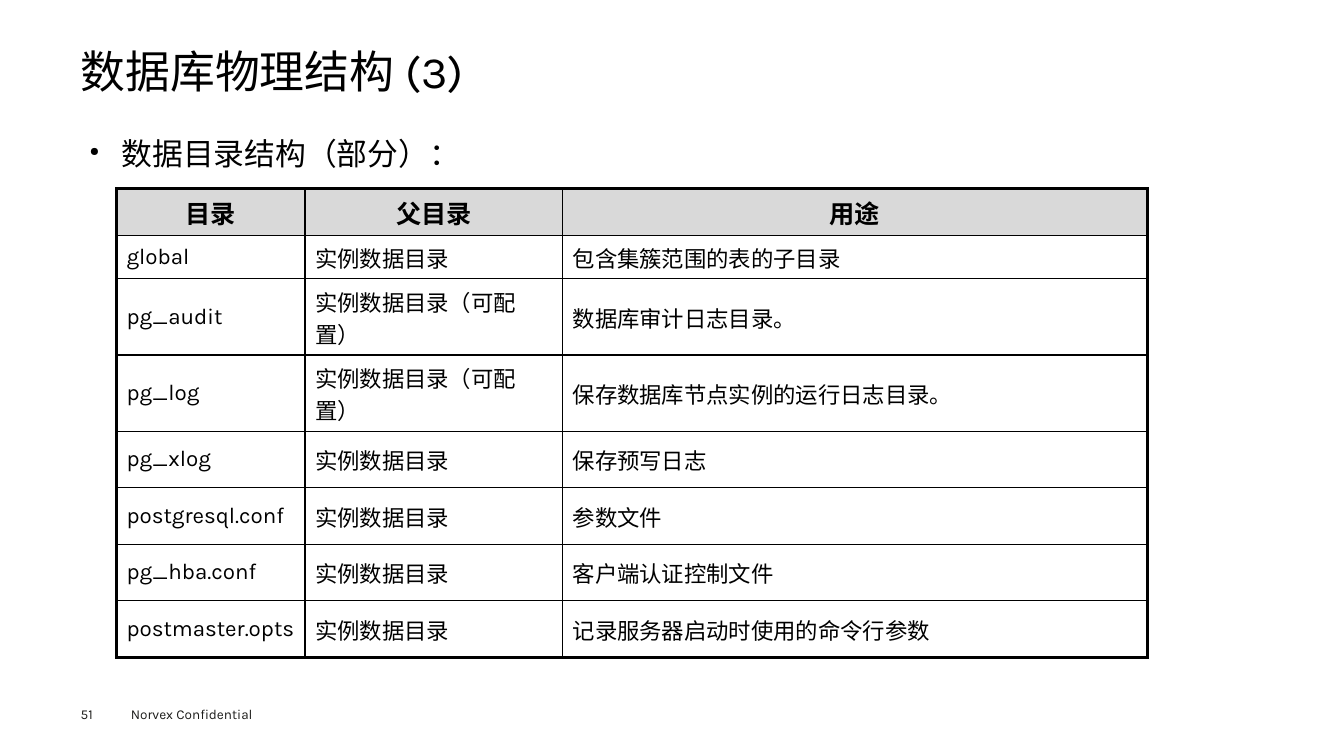
from dataclasses import dataclass

from lxml import etree
from pptx import Presentation
from pptx.dml.color import RGBColor
from pptx.enum import lang, text
from pptx.oxml import ns
from pptx.util import Pt

FONT = "Karla"
HUES = {"ink": "000000", "foot": "1D1D1B", "head": "D9D9D9"}
THIN, THICK = 1, 2.25
MID = text.MSO_ANCHOR.MIDDLE


@dataclass
class Label:
    words: str
    box: tuple
    size: float
    hue: str = "ink"
    pad: tuple = (0, 0, 0, 0)
    anchor: text.MSO_ANCHOR = MID
    gap: float = 1
    bullet: bool = False


@dataclass
class Entry:
    name: str
    parent: str
    use: str
    high: float


LABELS = [
    Label("Norvex Confidential", (86.4, 500.4, 115.2, 19.4), 9.7, "foot", (7.2, 3.6, 7.2, 3.6)),
    Label("51", (57.6, 504, 39.6, 11.5), 9.7, "foot"),
    Label("数据库物理结构 (3)", (57.6, 35.3, 844.6, 38.2), 32, pad=(0, 0, 0, 3.6),
          anchor=text.MSO_ANCHOR.BOTTOM, gap=0.9),
    Label("数据目录结构（部分）：", (57.6, 82.8, 844.6, 384.5), 22, pad=(6.5, 13.3, 6.5, 2.9),
          anchor=text.MSO_ANCHOR.TOP, bullet=True),
]
BASE = "实例数据目录"
ENTRIES = [
    Entry("目录", "父目录", "用途", 33.7),
    Entry("global", BASE, "包含集簇范围的表的子目录", 30.7),
    Entry("pg_audit", BASE + "（可配置）", "数据库审计日志目录。", 53.3),
    Entry("pg_log", BASE + "（可配置）", "保存数据库节点实例的运行日志目录。", 53.3),
    Entry("pg_xlog", BASE, "保存预写日志", 40.4),
    Entry("postgresql.conf", BASE, "参数文件", 40.4),
    Entry("pg_hba.conf", BASE, "客户端认证控制文件", 40.4),
    Entry("postmaster.opts", BASE, "记录服务器启动时使用的命令行参数", 40.4),
]
WIDTHS = (134.7, 184, 417.6)
LOOSE = 1.23


def color(key: str) -> RGBColor:
    return RGBColor.from_string(HUES[key])


def write(frame, words: str, *, size: float, hue: str = "ink", bold: bool = False,
          align=text.PP_ALIGN.LEFT, gap: float = 1, bullet: bool = False) -> None:
    para = frame.paragraphs[0]
    para.alignment = align
    para.line_spacing = gap
    if bullet:
        props = para._p.get_or_add_pPr()
        props.set("marL", str(Pt(22.8)))
        props.set("indent", str(-Pt(23.8)))
        etree.SubElement(props, ns.qn("a:buSzPct")).set("val", "40000")
        etree.SubElement(props, ns.qn("a:buChar")).set("char", "●")
    run = para.add_run()
    run.text = words
    font = run.font
    font.size, font.bold, font.name = Pt(size), bold, FONT
    font.color.rgb = color(hue)
    font.language_id = lang.MSO_LANGUAGE_ID.SIMPLIFIED_CHINESE
    asian = etree.SubElement(run._r.get_or_add_rPr(), ns.qn("a:ea"))
    asian.set("typeface", FONT)


def place(slide, label: Label) -> None:
    frame = slide.shapes.add_textbox(*map(Pt, label.box)).text_frame
    frame.word_wrap = True
    frame.vertical_anchor = label.anchor
    (frame.margin_left, frame.margin_top,
     frame.margin_right, frame.margin_bottom) = map(Pt, label.pad)
    write(frame, label.words, size=label.size, hue=label.hue, gap=label.gap,
          bullet=label.bullet)


def edge(cell, sides: dict[str, bool]) -> None:
    props = cell._tc.get_or_add_tcPr()
    for spot, (side, outer) in enumerate(sides.items()):
        line = etree.Element(ns.qn(f"a:ln{side}"), w=str(Pt(THICK if outer else THIN)))
        fill = etree.SubElement(line, ns.qn("a:solidFill"))
        etree.SubElement(fill, ns.qn("a:srgbClr")).set("val", HUES["ink"])
        props.insert(spot, line)


def draw(slide, entries: list[Entry]) -> None:
    high = sum(entry.high for entry in entries)
    rows, cols = len(entries), len(WIDTHS)
    table = slide.shapes.add_table(
        rows, cols, Pt(83.2), Pt(134.6), Pt(sum(WIDTHS)), Pt(high)).table
    table.horz_banding = False
    for col, width in zip(table.columns, WIDTHS):
        col.width = Pt(width)
    for r, entry in enumerate(entries):
        table.rows[r].height = Pt(entry.high)
        for c, words in enumerate((entry.name, entry.parent, entry.use)):
            cell = table.cell(r, c)
            cell.vertical_anchor = MID
            edge(cell, {"L": c == 0, "R": c == cols - 1, "T": r == 0, "B": r == rows - 1})
            if r == 0:
                cell.fill.solid()
                cell.fill.fore_color.rgb = color("head")
                write(cell.text_frame, words, size=18, bold=True, gap=LOOSE,
                      align=text.PP_ALIGN.CENTER)
            else:
                cell.fill.background()
                write(cell.text_frame, words, size=16, gap=LOOSE if c else 1)


def main() -> None:
    deck = Presentation()
    deck.slide_width, deck.slide_height = Pt(960), Pt(540)
    slide = deck.slides.add_slide(deck.slide_layouts[6])
    for label in LABELS:
        place(slide, label)
    draw(slide, ENTRIES)
    deck.save("out.pptx")


if __name__ == "__main__":
    main()
